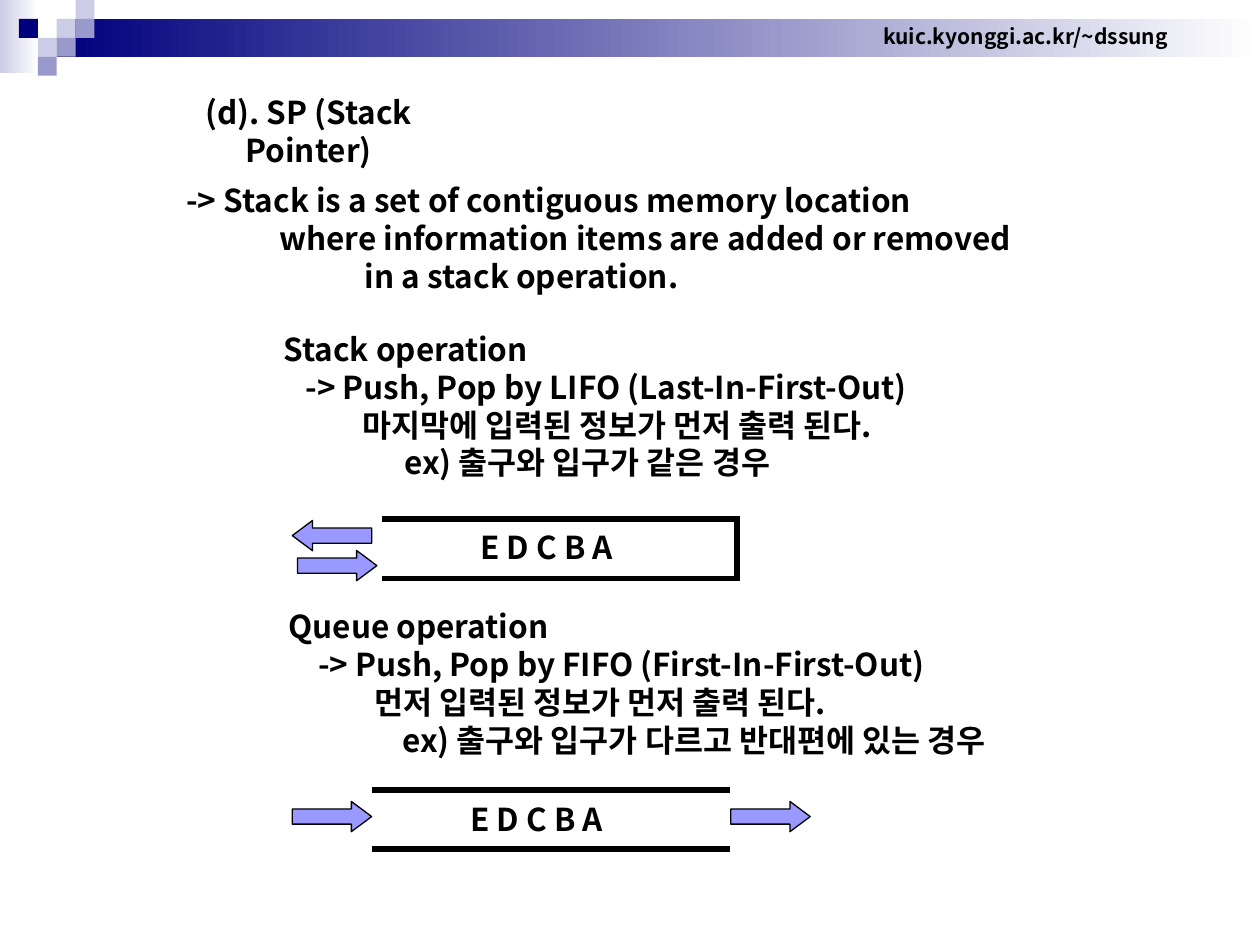
from pptx import Presentation
from pptx.dml.color import RGBColor
from pptx.enum.shapes import MSO_CONNECTOR as Link, MSO_SHAPE as Form
from pptx.enum.text import MSO_ANCHOR as Anchor, MSO_AUTO_SIZE as Fit, PP_ALIGN as Align
from pptx.oxml.ns import qn
from pptx.util import Pt
from lxml.etree import SubElement as Sub

FONT = "Noto Sans CJK KR"
BLACK, WHITE = "000000", "FFFFFF"
NAVY, MID, PALE, BLUE = "00007D", "9999CC", "CCCCE6", "9999FF"


def color(code):
    return RGBColor.from_string(code)


def write(frame, lines, size=18, align=Align.LEFT, anchor=Anchor.MIDDLE, side=7.2):
    """Fill a frame with (indent, text) lines."""
    frame.auto_size = Fit.NONE
    frame.word_wrap = True
    frame.vertical_anchor = anchor
    frame.margin_left = frame.margin_right = Pt(side)
    frame.margin_top = frame.margin_bottom = Pt(3.6)
    for i, (indent, text) in enumerate(lines):
        para = frame.add_paragraph() if i else frame.paragraphs[0]
        props = para._p.get_or_add_pPr()
        props.set("marL", str(Pt(indent)))
        props.set("indent", "0")
        Sub(props, qn("a:buNone"))
        para.alignment = align
        para.line_spacing = Pt(size * 1.2)
        para.space_before = para.space_after = Pt(0)
        run = para.add_run()
        run.text = text
        font = run.font
        font.size, font.bold, font.name = Pt(size), True, FONT
        font.color.rgb = color(BLACK)
        Sub(run._r.get_or_add_rPr(), qn("a:ea"), typeface=FONT)


class Page:
    def __init__(self, slide):
        self.slide = slide
        self.shapes = slide.shapes

    def holder(self, idx, box, lines, **style):
        item = self.slide.placeholders[idx]
        item.left, item.top, item.width, item.height = map(Pt, box)
        write(item.text_frame, lines, **style)

    def text(self, box, lines, **style):
        write(self.shapes.add_textbox(*map(Pt, box)).text_frame, lines, **style)

    def rect(self, box, fill, fade=None):
        item = self.shapes.add_shape(Form.RECTANGLE, *map(Pt, box))
        item.shadow.inherit = False
        item.line.fill.background()
        if fade:
            item.fill.gradient()
            item.fill.gradient_angle = 0
            for stop, code in zip(item.fill.gradient_stops, (fill, fade)):
                stop.color.rgb = color(code)
        else:
            item.fill.solid()
            item.fill.fore_color.rgb = color(fill)

    def arrow(self, left, top, turn=0):
        item = self.shapes.add_shape(Form.RIGHT_ARROW, Pt(left), Pt(top), Pt(45.4), Pt(17.3))
        item.shadow.inherit = False
        item.adjustments[1] = 0.67
        item.rotation = turn
        item.fill.solid()
        item.fill.fore_color.rgb = color(BLUE)
        item.line.color.rgb = color(BLACK)
        item.line.width = Pt(0.75)

    def line(self, *ends):
        item = self.shapes.add_connector(Link.STRAIGHT, *map(Pt, ends))
        item.line.color.rgb = color(BLACK)
        item.line.width = Pt(3)
        Sub(item._element.spPr, qn("a:effectLst"))

    def tube(self, left, top, label):
        """Two rails with the stored items between them."""
        for y in (top, top + 33.8):
            self.line(left, y, left + 204.5, y)
        self.text((label[0], label[1], 92, 28.8), [(0, "E D C B A")],
                  align=Align.CENTER, anchor=Anchor.TOP)


def main():
    deck = Presentation()
    deck.slide_width, deck.slide_height = Pt(720), Pt(540)
    page = Page(deck.slides.add_slide(deck.slide_layouts[3]))

    # Header band and its mosaic of squares
    page.rect((0, 0, 22, 42), PALE, fade=WHITE)
    page.rect((32.4, 10.8, 687.6, 21.6), NAVY, fade=WHITE)
    step = 10.8
    cells = {PALE: [(3, 1), (4, 0), (2, 2)],
             MID: [(4, 1), (3, 2), (2, 3)],
             NAVY: [(1, 1)]}
    for code, spots in cells.items():
        for col, row in spots:
            page.rect((col * step, row * step, step, step), code)
    page.text((497.5, 10, 190, 21.6), [(0, "kuic.kyonggi.ac.kr/~dssung")],
              size=12, anchor=Anchor.TOP)

    # Title and definition
    page.holder(0, (73.4, 60.5, 206, 28.8), [(0, "(d). SP (Stack Pointer)")],
                align=Align.CENTER, side=15)
    page.text((99.4, 100, 513, 72), [
        (0, "-> Stack is a set of contiguous memory location"),
        (53, "where information items are added or removed"),
        (102, "in a stack operation."),
    ])

    # Stack: one shared opening
    page.holder(1, (154.8, 185, 384, 93.6), [
        (0, "Stack operation"),
        (12.5, "-> Push, Pop by LIFO (Last-In-First-Out)"),
        (45, "마지막에 입력된 정보가 먼저 출력 된다."),
        (69, "ex) 출구와 입구가 같은 경우"),
    ])
    page.tube(218.2, 296.6, label=(266.4, 298))
    page.line(421.2, 295.2, 421.2, 329)
    page.arrow(170, 314.6)
    page.arrow(167, 297.4, turn=180)

    # Queue: openings at both ends
    page.holder(2, (157.7, 343.4, 431, 93.6), [
        (0, "Queue operation"),
        (17, "-> Push, Pop by FIFO (First-In-First-Out)"),
        (49, "먼저 입력된 정보가 먼저 출력 된다."),
        (65, "ex) 출구와 입구가 다르고 반대편에 있는 경우"),
    ])
    page.tube(212.4, 451.4, label=(260.6, 453.6))
    for left in (167, 417.6):
        page.arrow(left, 458)

    deck.save("out.pptx")


if __name__ == "__main__":
    main()
